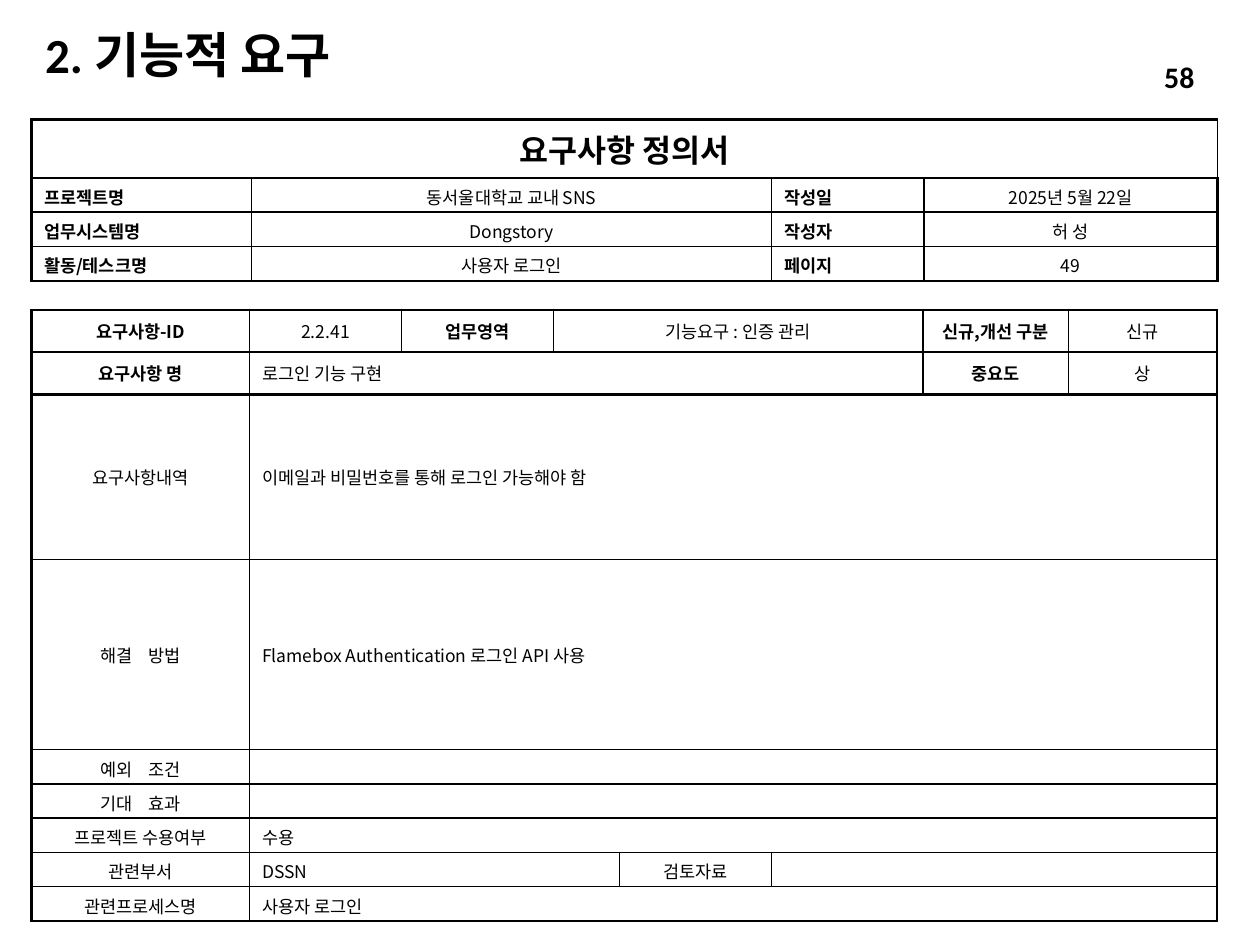
from lxml import etree
from pptx import Presentation
from pptx.dml.color import RGBColor
from pptx.enum.text import MSO_ANCHOR, PP_ALIGN
from pptx.oxml.ns import qn
from pptx.util import Pt

BLACK = RGBColor(0, 0, 0)
KOREAN_FONT, LATIN_FONT = "Noto Sans CJK KR", "Calibri"
LEFT, CENTER, RIGHT, JUSTIFY = (
    PP_ALIGN.LEFT, PP_ALIGN.CENTER, PP_ALIGN.RIGHT, PP_ALIGN.JUSTIFY)
MIDDLE = MSO_ANCHOR.MIDDLE
THIN, THICK = 1, 1.5
WORD_GAP = 7  # extra points in a widened word space

# Cell kinds: alignment, bold, size
KINDS = {
    "heading": (CENTER, True, 18),
    "key": (JUSTIFY, True, 10),
    "label": (CENTER, True, 10),
    "value": (CENTER, False, 10),
    "detail": (LEFT, False, 10),
}

# Text boxes: text, (left, top, width, height), size, alignment
TITLE = ("2. 기능적 요구", (18.7, 15.1, 386, 31.7), 28, LEFT)
PAGE_NUMBER = ("58", (573, 29.5, 116.6, 28.8), 17, RIGHT)

# Each cell: text, kind, columns spanned; a "|" marks a widened word space
PROJECT = {
    "place": (18, 68.3),
    "columns": [125.8, 297.2, 87, 167.7],
    "rows": [33.4, 19.6, 19.6, 19.6],
    "thick_below": [],
    "cells": [[("요구사항 정의서", "heading", 4)]] + [
        [(key, "key", 1), (value, "value", 1),
         (key2, "key", 1), (value2, "value", 1)]
        for key, value, key2, value2 in [
            ("프로젝트명", "동서울대학교 교내 SNS", "작성일", "2025년 5월 22일"),
            ("업무시스템명", "Dongstory", "작성자", "허 성"),
            ("활동/테스크명", "사용자 로그인", "페이지", "49"),
        ]
    ],
}
REQUIREMENT = {
    "place": (18, 177.1),
    "columns": [124.6, 86.8, 86.8, 37.8, 86.8, 86.8, 82.9, 85.2],
    "rows": [24.2, 24.2, 94.3, 108.6] + [19.6] * 5,
    "thick_below": [0, 1],
    "cells": [
        [("요구사항-ID", "label", 1), ("2.2.41", "value", 1),
         ("업무영역", "label", 1), ("기능요구 : 인증 관리", "value", 3),
         ("신규,개선 구분", "label", 1), ("신규", "value", 1)],
        [("요구사항 명", "label", 1), ("로그인 기능 구현", "detail", 5),
         ("중요도", "label", 1), ("상", "value", 1)],
        [("요구사항내역", "value", 1),
         ("이메일과 비밀번호를 통해 로그인 가능해야 함", "detail", 7)],
        [("해결|방법", "value", 1),
         ("Flamebox Authentication 로그인 API 사용", "detail", 7)],
        [("예외|조건", "value", 1), ("", "detail", 7)],
        [("기대|효과", "value", 1), ("", "detail", 7)],
        [("프로젝트 수용여부", "value", 1), ("수용", "detail", 7)],
        [("관련부서", "value", 1), ("DSSN", "detail", 3),
         ("검토자료", "value", 1), ("", "detail", 3)],
        [("관련프로세스명", "value", 1), ("사용자 로그인", "detail", 7)],
    ],
}


def add_run(paragraph, text, size, bold, latin=KOREAN_FONT):
    run = paragraph.add_run()
    run.text = text
    run.font.size, run.font.bold, run.font.name = Pt(size), bold, latin
    run.font.color.rgb = BLACK
    etree.SubElement(run.font._element, qn("a:ea"), typeface=KOREAN_FONT)
    return run


def add_label(slide, text, place, size, align):
    frame = slide.shapes.add_textbox(*map(Pt, place)).text_frame
    frame.word_wrap = True
    frame.vertical_anchor = MIDDLE
    paragraph = frame.paragraphs[0]
    paragraph.alignment = align
    add_run(paragraph, text, size, True, LATIN_FONT)


def draw_borders(cell, widths):
    """Add the cell's lines; widths maps a side (L, R, T, B) to points."""
    properties = cell._tc.get_or_add_tcPr()
    for side, width in widths.items():
        line = etree.SubElement(properties, qn("a:ln" + side), w=str(Pt(width)))
        fill = etree.SubElement(line, qn("a:solidFill"))
        etree.SubElement(fill, qn("a:srgbClr"), val=str(BLACK))


def fill_cell(cell, text, kind):
    align, bold, size = KINDS[kind]
    cell.vertical_anchor = MIDDLE
    paragraph = cell.text_frame.paragraphs[0]
    paragraph.alignment = align
    if not text:  # keeps an empty row as low as the others
        etree.SubElement(paragraph._p, qn("a:endParaRPr"), sz=str(size * 100))
        return
    first, *others = text.split("|")
    add_run(paragraph, first, size, bold)
    for word in others:
        gap = add_run(paragraph, " ", size, bold)
        gap.font._element.set("spc", str(WORD_GAP * 100))
        add_run(paragraph, word, size, bold)


def add_form(slide, form):
    columns, rows = form["columns"], form["rows"]
    table = slide.shapes.add_table(
        len(rows), len(columns), *map(Pt, form["place"]),
        Pt(sum(columns)), Pt(sum(rows))).table
    table.first_row = table.horz_banding = False
    for column, width in zip(table.columns, columns):
        column.width = Pt(width)
    for row, height in zip(table.rows, rows):
        row.height = Pt(height)

    # Row lines are thick at the outer edges and below the marked rows
    thick_lines = {0, len(rows)} | {row + 1 for row in form["thick_below"]}
    for r, row_cells in enumerate(form["cells"]):
        c = 0
        top, bottom = (THICK if n in thick_lines else THIN for n in (r, r + 1))
        for text, kind, span in row_cells:
            end = c + span
            right = THICK if end == len(columns) and kind != "heading" else THIN
            sides = {"L": THIN if c else THICK, "R": right}
            if span > 1:
                table.cell(r, c).merge(table.cell(r, end - 1))
            for n in range(c, end):
                cell = table.cell(r, n)
                draw_borders(cell, {**(sides if n == c else {}),
                                    "T": top, "B": bottom})
                cell.fill.background()
            fill_cell(table.cell(r, c), text, kind)
            c = end


def main():
    deck = Presentation()
    deck.slide_width, deck.slide_height = Pt(720), Pt(540)
    slide = deck.slides.add_slide(deck.slide_layouts[6])
    add_label(slide, *TITLE)
    add_form(slide, REQUIREMENT)
    add_form(slide, PROJECT)
    add_label(slide, *PAGE_NUMBER)
    deck.save("out.pptx")


if __name__ == "__main__":
    main()
